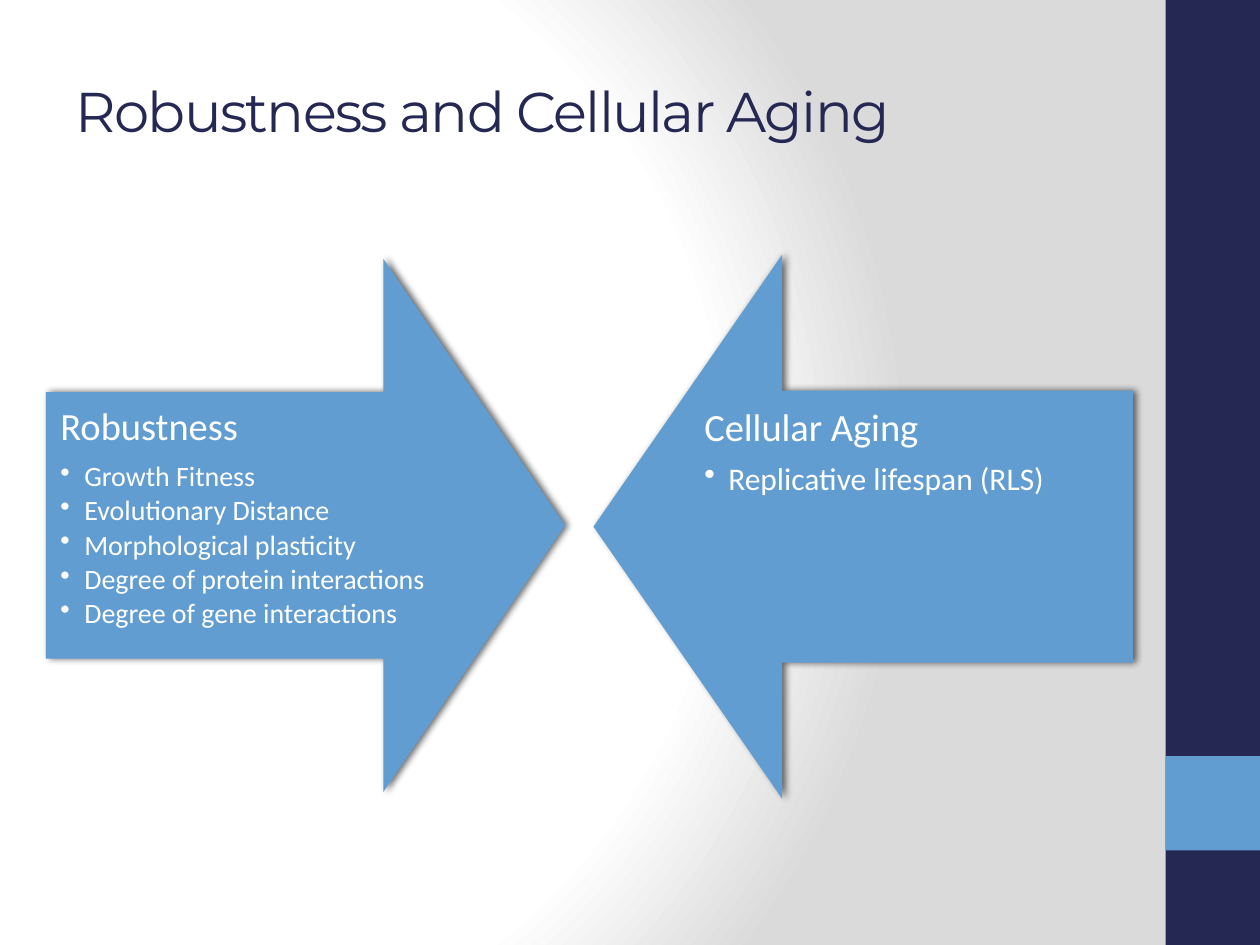
from dataclasses import dataclass

from lxml import etree
from pptx import Presentation
from pptx.dml.color import RGBColor
from pptx.enum.shapes import MSO_SHAPE
from pptx.enum.text import MSO_ANCHOR, MSO_AUTO_SIZE, PP_ALIGN
from pptx.oxml import parse_xml
from pptx.oxml.ns import nsdecls, qn
from pptx.util import Inches, Pt

NAVY = RGBColor(0x24, 0x28, 0x52)
BLUE = RGBColor(0x62, 0x9D, 0xD1)
WHITE = RGBColor(0xFF, 0xFF, 0xFF)
RECTANGLE, DOWN_ARROW = MSO_SHAPE.RECTANGLE, MSO_SHAPE.DOWN_ARROW
MIDDLE, TOP, LEFT = MSO_ANCHOR.MIDDLE, MSO_ANCHOR.TOP, PP_ALIGN.LEFT
NO_AUTOFIT = MSO_AUTO_SIZE.NONE

Box = tuple[float, float, float, float]  # left, top, width, height in inches


@dataclass
class Topic:
    heading: str
    points: list[str]
    point_size: int
    arrow_box: Box
    rotation: int
    text_box: Box
    inset: float


TOPICS = [
    Topic("Robustness",
          ["Growth Fitness", "Evolutionary Distance", "Morphological plasticity",
           "Degree of protein interactions", "Degree of gene interactions"],
          16, (0.31, 2.11, 4.23, 4.12), 270, (0.36, 3.11, 3.4, 2.11), 0.12),
    Topic("Cellular Aging", ["Replicative lifespan (RLS)"],
          18, (4.69, 2.04, 4.32, 4.28), 90, (5.45, 3.1, 3.53, 2.16), 0.14),
]


def set_background(slide) -> None:
    """Fill the slide with a radial white-to-grey gradient."""
    stops = "".join(
        f'<a:gs pos="{percent * 1000}"><a:srgbClr val="{color}"/></a:gs>'
        for percent, color in ((0, "FFFFFF"), (75, "FFFFFF"), (100, "DADADA")))
    background = parse_xml(
        f'<p:bg {nsdecls("p", "a")}><p:bgPr><a:gradFill rotWithShape="1">'
        f'<a:gsLst>{stops}</a:gsLst><a:path path="circle">'
        '<a:fillToRect l="20000" t="50000" r="100000" b="50000"/></a:path>'
        '</a:gradFill><a:effectLst/></p:bgPr></p:bg>')
    slide.element.cSld.insert(0, background)


def add_filled(slide, kind, box: Box, color: RGBColor):
    shape = slide.shapes.add_shape(kind, *map(Inches, box))
    shape.shadow.inherit = False
    shape.fill.solid()
    shape.fill.fore_color.rgb = color
    shape.line.fill.background()
    return shape


def add_shadow(shape) -> None:
    effects = shape._element.spPr.find(qn("a:effectLst"))
    effects.append(parse_xml(
        f'<a:outerShdw {nsdecls("a")} blurRad="{Pt(4)}" dist="{Pt(2)}" dir="0" '
        'rotWithShape="0"><a:srgbClr val="000000"><a:alpha val="60000"/>'
        '</a:srgbClr></a:outerShdw>'))


def write(paragraph, text: str, *, size: int, color: RGBColor = WHITE,
          font: str = "Calibri", after: int = 0, bullet: bool = False,
          line_spacing: float | None = None, tracking: int = 0) -> None:
    """Write one paragraph; after is a percentage, tracking is in points."""
    paragraph.alignment = LEFT
    if line_spacing:
        paragraph.line_spacing = line_spacing
    properties = paragraph._p.get_or_add_pPr()
    if after:
        spacing = etree.SubElement(properties, qn("a:spcAft"))
        etree.SubElement(spacing, qn("a:spcPct")).set("val", str(after * 1000))
    if bullet:
        paragraph.level = 1
        properties.set("marL", str(Inches(0.19)))
        properties.set("indent", str(-Inches(0.19)))
        etree.SubElement(properties, qn("a:buChar")).set("char", "•")
    run = paragraph.add_run()
    run.text = text
    run.font.size = Pt(size)
    run.font.name = font
    run.font.color.rgb = color
    if tracking:
        run.font._element.set("spc", str(tracking * 100))


def add_topic(slide, topic: Topic) -> None:
    arrow = add_filled(slide, DOWN_ARROW, topic.arrow_box, BLUE)
    arrow.adjustments[0] = 0.5
    arrow.adjustments[1] = 0.35
    arrow.rotation = topic.rotation
    add_shadow(arrow)

    frame = slide.shapes.add_textbox(*map(Inches, topic.text_box)).text_frame
    frame.word_wrap = True
    frame.vertical_anchor = TOP
    frame.margin_left = frame.margin_right = Inches(topic.inset)
    frame.margin_top = frame.margin_bottom = Inches(topic.inset)
    write(frame.paragraphs[0], topic.heading, size=22, after=35, line_spacing=0.9)
    for point in topic.points:
        write(frame.add_paragraph(), point, size=topic.point_size, after=15,
              bullet=True, line_spacing=0.9)


def main() -> None:
    deck = Presentation()
    deck.slide_width, deck.slide_height = Inches(10), Inches(7.5)
    slide = deck.slides.add_slide(deck.slide_layouts[5])
    set_background(slide)

    # Side band with accent square
    add_filled(slide, RECTANGLE, (9.25, 0, 0.75, 7.5), NAVY)
    add_filled(slide, RECTANGLE, (9.25, 6, 0.75, 0.75), BLUE)

    # Title
    title = slide.shapes.title
    title.left, title.top = Inches(0.5), Inches(0.25)
    title.width, title.height = Inches(9), Inches(1.25)
    title.text_frame.vertical_anchor = MIDDLE
    title.text_frame.auto_size = NO_AUTOFIT
    write(title.text_frame.paragraphs[0], "Robustness and Cellular Aging",
          size=32, color=NAVY, font="Montserrat", tracking=-1)

    # Facing arrows with their text
    for topic in TOPICS:
        add_topic(slide, topic)

    deck.save("out.pptx")


if __name__ == "__main__":
    main()
